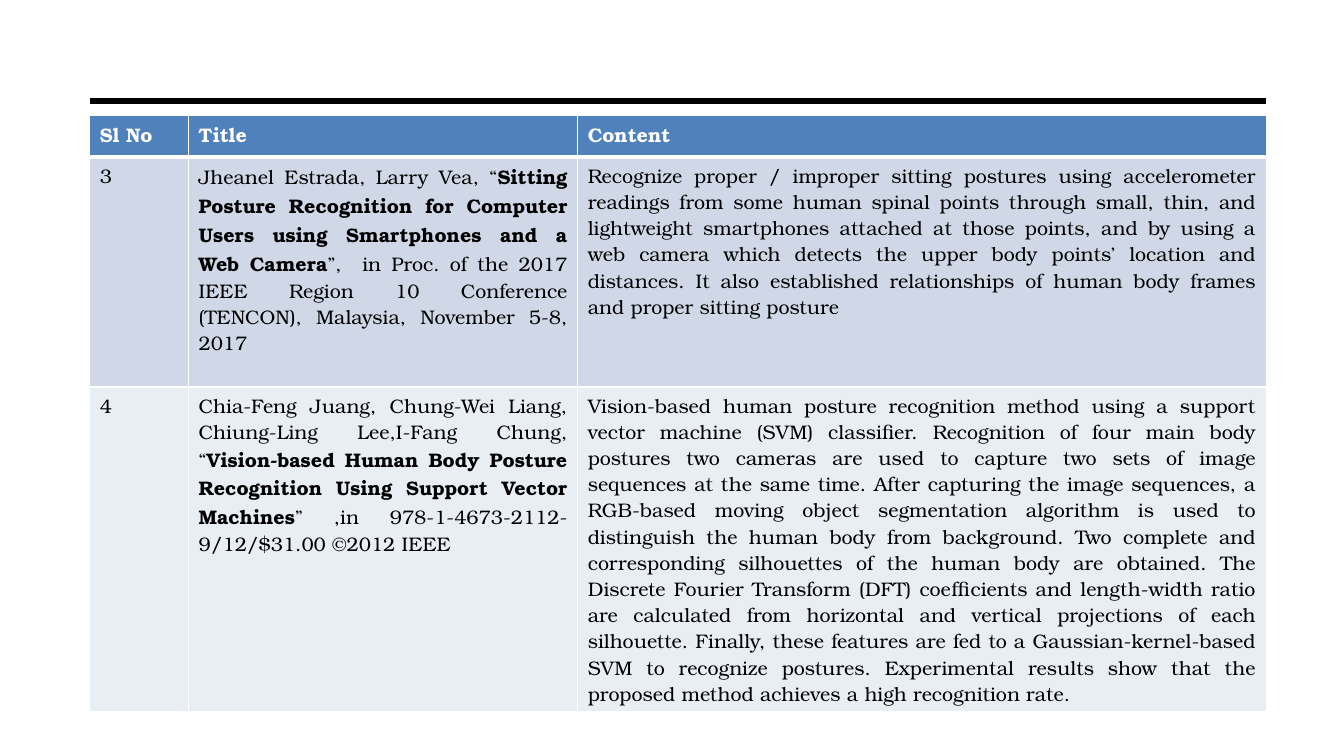
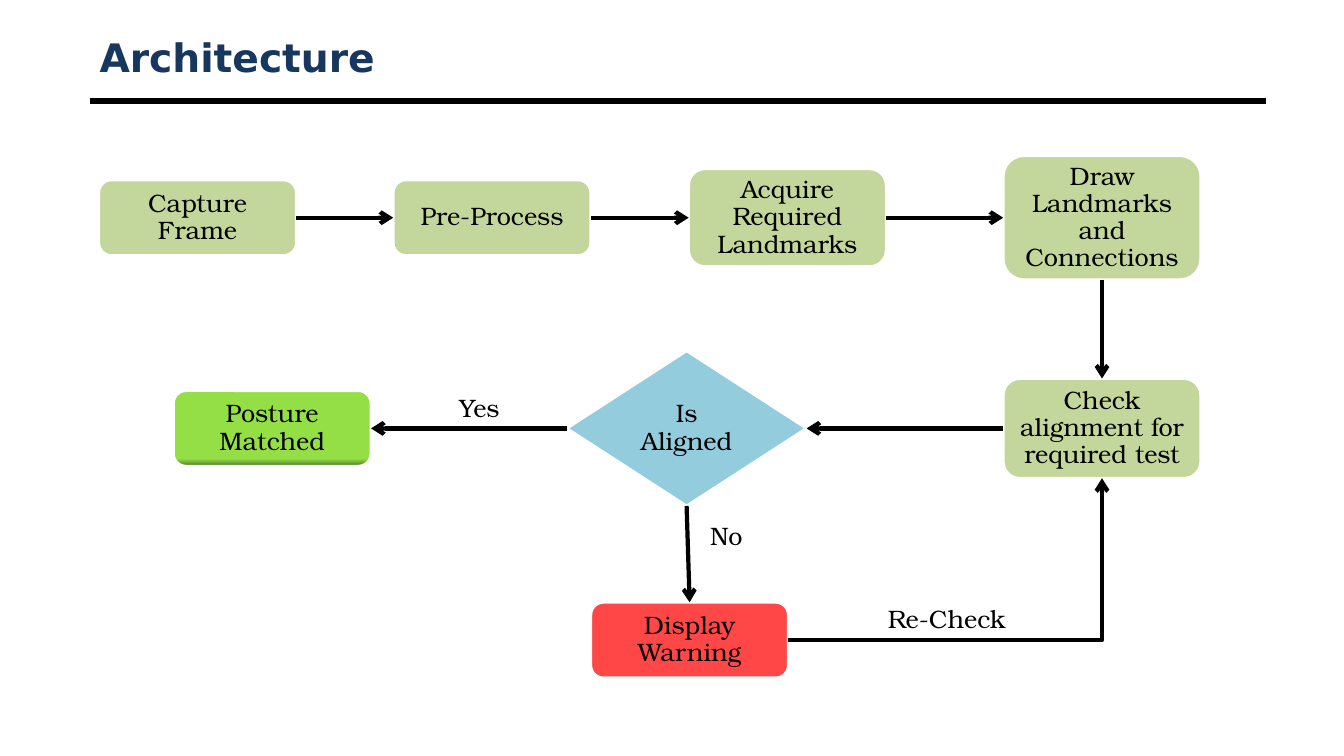
from lxml import etree
from pptx import Presentation
from pptx.dml.color import RGBColor
from pptx.enum.shapes import MSO_CONNECTOR, MSO_SHAPE
from pptx.enum.text import MSO_ANCHOR, PP_ALIGN
from pptx.oxml.ns import qn
from pptx.util import Emu, Pt

ROUNDED, DIAMOND = MSO_SHAPE.ROUNDED_RECTANGLE, MSO_SHAPE.DIAMOND
STRAIGHT, ELBOW = MSO_CONNECTOR.STRAIGHT, MSO_CONNECTOR.ELBOW
CENTER, JUSTIFY, LEFT = PP_ALIGN.CENTER, PP_ALIGN.JUSTIFY, PP_ALIGN.LEFT
MIDDLE = MSO_ANCHOR.MIDDLE
TOP_SIDE, LEFT_SIDE, BOTTOM_SIDE, RIGHT_SIDE = range(4)

EMU_PER_PX = 9144  # 100 px to the inch
TITLE_FONT, BODY_FONT = "DejaVu Sans", "TeX Gyre Bonum"
COLORS = {
    "black": "000000", "white": "FFFFFF", "title": "17375E",
    "header": "4F81BD", "odd_row": "D0D8E8", "even_row": "E9EDF4",
    "step": "C3D69B", "decision": "93CDDD", "warning": "FF4747",
    "matched": "95DF46", "matched_edge": "52762D",
}
MARGIN, CONTENT_WIDTH = 89, 1167

# Literature table: a cell is a list of (text, bold) runs
COLUMN_WIDTHS = [98, 386, 683]
ROW_HEIGHTS = [42, 228, 322]
ROW_FILLS = ["header", "odd_row", "even_row"]
PAPERS = [
    [[("Sl No", True)], [("Title", True)], [("Content", True)]],
    [
        [("3", False)],
        [("Jheanel Estrada, Larry Vea, “", False),
         ("Sitting Posture Recognition for Computer Users using Smartphones "
          "and a Web Camera", True),
         ("”,  in Proc. of the 2017 IEEE Region 10 Conference (TENCON), "
          "Malaysia, November 5-8, 2017", False)],
        [("Recognize proper / improper sitting postures using accelerometer "
          "readings from some human spinal points through small, thin, and "
          "lightweight smartphones attached at those points, and by using a "
          "web camera which detects the upper body points’ location and "
          "distances. It also established relationships of human body frames "
          "and proper sitting posture", False)],
    ],
    [
        [("4", False)],
        [("Chia-Feng Juang, Chung-Wei Liang, Chiung-Ling Lee,I-Fang Chung, “",
          False),
         ("Vision-based Human Body Posture Recognition Using Support Vector "
          "Machines", True),
         ("” ,in 978-1-4673-2112-9/12/$31.00 ©2012 IEEE", False)],
        [("Vision-based human posture recognition method using a support "
          "vector machine (SVM) classifier. Recognition of four main body "
          "postures two cameras are used to capture two sets of image "
          "sequences at the same time. After capturing the image sequences, a "
          "RGB-based moving object segmentation algorithm is used to "
          "distinguish the human body from background. Two complete and "
          "corresponding silhouettes of the human body are obtained. The "
          "Discrete Fourier Transform (DFT) coefficients and length-width "
          "ratio are calculated from horizontal and vertical projections of "
          "each silhouette. Finally, these features are fed to a "
          "Gaussian-kernel-based SVM to recognize postures. Experimental "
          "results show that the proposed method achieves a high recognition "
          "rate.", False)],
    ],
]

# Flow chart: name -> text, shape, fill, centre x, centre y, width, height
STEP_WIDTH, STEP_HEIGHT = 196, 75
TOP_ROW, MIDDLE_ROW, BOTTOM_ROW = 216, 425, 635
LAST_COLUMN = 1093
NODES = {
    "capture": ("Capture Frame", ROUNDED, "step", 196, TOP_ROW,
                STEP_WIDTH, STEP_HEIGHT),
    "process": ("Pre-Process", ROUNDED, "step", 488, TOP_ROW,
                STEP_WIDTH, STEP_HEIGHT),
    "acquire": ("Acquire Required Landmarks", ROUNDED, "step", 781, TOP_ROW,
                STEP_WIDTH, 97),
    "draw": ("Draw Landmarks and Connections", ROUNDED, "step", LAST_COLUMN,
             TOP_ROW, STEP_WIDTH, 123),
    "check": ("Check alignment for required test", ROUNDED, "step",
              LAST_COLUMN, MIDDLE_ROW, STEP_WIDTH, 99),
    "aligned": ("Is Aligned", DIAMOND, "decision", 681, MIDDLE_ROW, 238, 154),
    "warning": ("Display Warning", ROUNDED, "warning", 684, BOTTOM_ROW,
                STEP_WIDTH, STEP_HEIGHT),
    "matched": ("Posture Matched", ROUNDED, "matched", 270, MIDDLE_ROW,
                STEP_WIDTH, STEP_HEIGHT),
}
ARROWS = [
    ("capture", RIGHT_SIDE, "process", LEFT_SIDE, STRAIGHT),
    ("process", RIGHT_SIDE, "acquire", LEFT_SIDE, STRAIGHT),
    ("acquire", RIGHT_SIDE, "draw", LEFT_SIDE, STRAIGHT),
    ("draw", BOTTOM_SIDE, "check", TOP_SIDE, STRAIGHT),
    ("check", LEFT_SIDE, "aligned", RIGHT_SIDE, STRAIGHT),
    ("aligned", BOTTOM_SIDE, "warning", TOP_SIDE, STRAIGHT),
    ("warning", RIGHT_SIDE, "check", BOTTOM_SIDE, ELBOW),
    ("aligned", LEFT_SIDE, "matched", RIGHT_SIDE, STRAIGHT),
]
LABELS = [("Yes", 422, 384, 107), ("No", 667, 511, 107),
          ("Re-Check", 854, 594, 170)]
LABEL_HEIGHT = 40


def px(*lengths):
    return [Emu(length * EMU_PER_PX) for length in lengths]


def rgb(name):
    return RGBColor.from_string(COLORS[name])


def style(para, size, color="black", align=CENTER, font=BODY_FONT, bold=None):
    para.alignment = align
    para.font.size, para.font.name, para.font.bold = Pt(size), font, bold
    para.font.color.rgb = rgb(color)


def add_text(page, text, place, size, **look):
    box = page.shapes.add_textbox(*px(*place))
    frame = box.text_frame
    frame.word_wrap = True
    frame.text = text
    style(frame.paragraphs[0], size, **look)
    return frame


def add_line(page, kind, start, end, width):
    line = page.shapes.add_connector(kind, *px(*start, *end))
    line.line.color.rgb = rgb("black")
    line.line.width = Pt(width)
    etree.SubElement(line._element.spPr, qn("a:effectLst"))
    return line


def add_page(deck, title=None):
    page = deck.slides.add_slide(deck.slide_layouts[6])
    add_line(page, STRAIGHT, (MARGIN, 100), (MARGIN + CONTENT_WIDTH, 100), 4.5)
    if title:
        frame = add_text(page, title, (MARGIN, 30, CONTENT_WIDTH, 53), 28,
                         color="title", align=LEFT, font=TITLE_FONT, bold=True)
        frame.vertical_anchor = MIDDLE
    return page


def set_borders(cell, bottom_width):
    properties = cell._tc.get_or_add_tcPr()
    widths = {"a:lnL": 1, "a:lnR": 1, "a:lnT": 1, "a:lnB": bottom_width}
    for position, (tag, width) in enumerate(widths.items()):
        border = etree.Element(qn(tag), w=str(Pt(width)))
        fill = etree.SubElement(border, qn("a:solidFill"))
        etree.SubElement(fill, qn("a:srgbClr"), val=COLORS["white"])
        properties.insert(position, border)


def add_paper_table(page):
    frame = page.shapes.add_table(
        len(PAPERS), len(COLUMN_WIDTHS),
        *px(MARGIN, 114, CONTENT_WIDTH, sum(ROW_HEIGHTS)))
    table = frame.table
    for column, width in zip(table.columns, px(*COLUMN_WIDTHS)):
        column.width = width
    for row, height in zip(table.rows, px(*ROW_HEIGHTS)):
        row.height = height
    for row_number, (row, fill) in enumerate(zip(PAPERS, ROW_FILLS)):
        is_header = row_number == 0
        for column_number, runs in enumerate(row):
            cell = table.cell(row_number, column_number)
            cell.fill.solid()
            cell.fill.fore_color.rgb = rgb(fill)
            set_borders(cell, 3 if is_header else 1)
            para = cell.text_frame.paragraphs[0]
            style(para, 14, "white" if is_header else "black", JUSTIFY)
            for text, bold in runs:
                span = para.add_run()
                span.text, span.font.bold = text, bold


def add_node(page, text, kind, fill, center_x, center_y, width, height):
    node = page.shapes.add_shape(kind, *px(
        center_x - width / 2, center_y - height / 2, width, height))
    node.shadow.inherit = False
    if fill == "matched":  # dark lower edge
        node.fill.gradient()
        node.fill.gradient_angle = 270
        stops = [(0.9, "matched"), (1, "matched_edge")]
        for stop, (position, color) in zip(node.fill.gradient_stops, stops):
            stop.position, stop.color.rgb = position, rgb(color)
    else:
        node.fill.solid()
        node.fill.fore_color.rgb = rgb(fill)
    node.line.color.rgb = rgb("white")
    node.line.width = Pt(2)
    frame = node.text_frame
    frame.word_wrap, frame.vertical_anchor = True, MIDDLE
    frame.text = text
    style(frame.paragraphs[0], 18)
    frame.paragraphs[0].line_spacing = 0.9
    return node


def add_arrow(page, source, source_side, target, target_side, kind):
    arrow = add_line(page, kind, (0, 0), (0, 0), 3)
    arrow.begin_connect(source, source_side)
    arrow.end_connect(target, target_side)
    if kind == ELBOW:  # a single corner
        geometry = arrow._element.spPr.find(qn("a:prstGeom"))
        geometry.set("prst", "bentConnector2")
    outline = arrow.line._get_or_add_ln()
    etree.SubElement(outline, qn("a:tailEnd"), type="arrow")


def main():
    deck = Presentation()
    deck.slide_width, deck.slide_height = px(1333, 750)

    # Literature survey
    add_paper_table(add_page(deck))

    # Architecture
    page = add_page(deck, "Architecture")
    nodes = {name: add_node(page, *node) for name, node in NODES.items()}
    for source, source_side, target, target_side, kind in ARROWS:
        add_arrow(page, nodes[source], source_side,
                  nodes[target], target_side, kind)
    for text, left, top, width in LABELS:
        add_text(page, text, (left, top, width, LABEL_HEIGHT), 18)

    deck.save("out.pptx")


if __name__ == "__main__":
    main()
